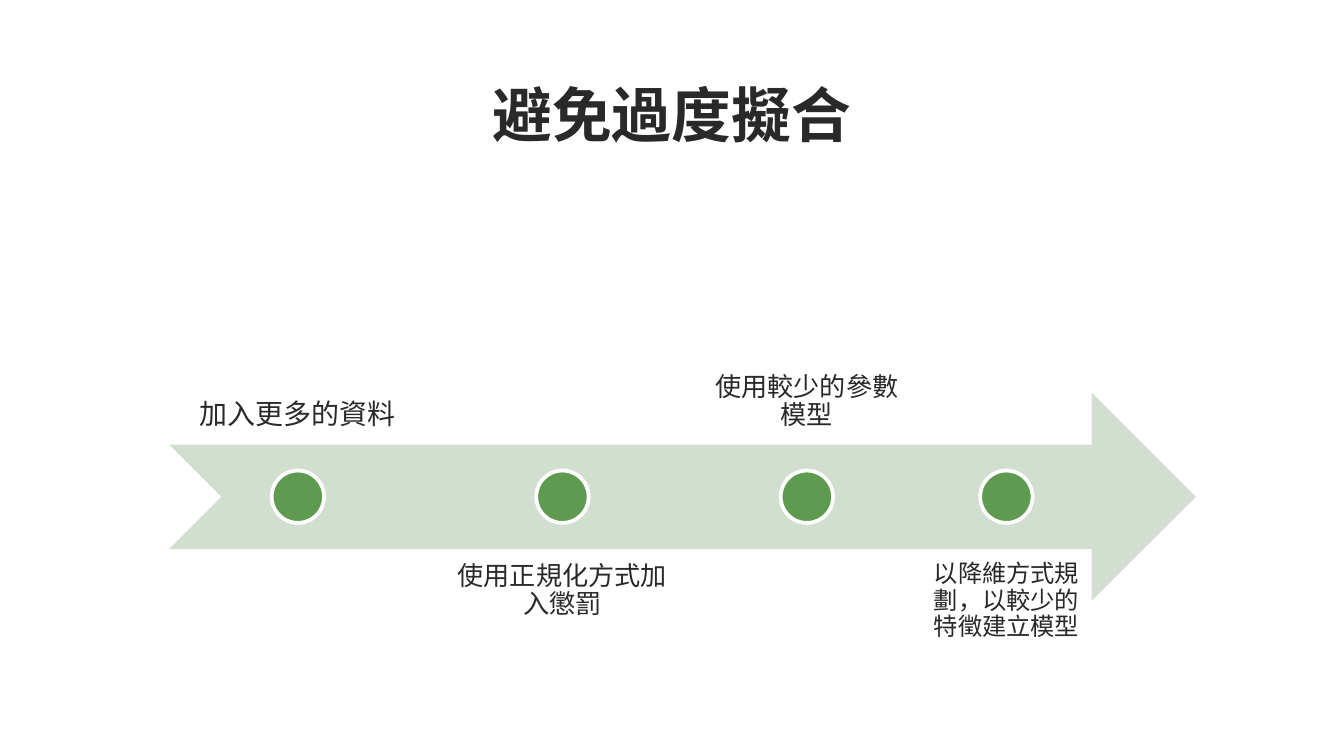
from dataclasses import dataclass

from pptx import Presentation
from pptx.dml.color import RGBColor
from pptx.enum.shapes import MSO_SHAPE as Shape
from pptx.enum.text import MSO_ANCHOR as Anchor, PP_ALIGN as Align
from pptx.slide import Slide
from pptx.util import Cm, Pt


@dataclass(frozen=True)
class Theme:
    font: str = "Arial"
    ink: RGBColor = RGBColor.from_string("292929")
    paper: RGBColor = RGBColor.from_string("FFFFFF")
    band: RGBColor = RGBColor.from_string("D2DED0")
    dot: RGBColor = RGBColor.from_string("5E9A50")
    title_size: int = 32
    dot_line: int = 2


@dataclass(frozen=True)
class Box:
    left: float
    top: float
    width: float
    height: float

    def lengths(self) -> tuple[Cm, Cm, Cm, Cm]:
        return Cm(self.left), Cm(self.top), Cm(self.width), Cm(self.height)


@dataclass(frozen=True)
class Step:
    label: str
    center: float
    width: float
    size: int
    above: bool


THEME = Theme()
ARROW = Box(3.2, 7.42, 19.4, 3.94)
AXIS = ARROW.top + ARROW.height / 2
LABEL_GAP = 0.97
DOT_SIZE = 0.99
INSET_PER_POINT = 0.02

STEPS = (
    Step("加入更多的資料", 5.63, 4.8, 15, True),
    Step("使用正規化方式加入懲罰", 10.63, 5, 14, False),
    Step("使用較少的參數模型", 15.25, 4.04, 14, True),
    Step("以降維方式規劃，以較少的特徵建立模型", 19.02, 3.3, 13, False),
)


def add_text(slide: Slide, box: Box, text: str, size: int, anchor: Anchor,
             inset_x: float, inset_y: float, spacing: float = 1,
             bold: bool = False) -> None:
    frame = slide.shapes.add_textbox(*box.lengths()).text_frame
    frame.word_wrap = True
    frame.vertical_anchor = anchor
    frame.margin_left = frame.margin_right = Cm(inset_x)
    frame.margin_top = frame.margin_bottom = Cm(inset_y)
    paragraph = frame.paragraphs[0]
    paragraph.text = text
    paragraph.alignment = Align.CENTER
    paragraph.line_spacing = spacing
    font = paragraph.font
    font.name, font.size, font.bold = THEME.font, Pt(size), bold
    font.color.rgb = THEME.ink


def add_arrow(slide: Slide) -> None:
    arrow = slide.shapes.add_shape(Shape.NOTCHED_RIGHT_ARROW, *ARROW.lengths())
    arrow.shadow.inherit = False
    arrow.fill.solid()
    arrow.fill.fore_color.rgb = THEME.band
    arrow.line.fill.background()


def add_step(slide: Slide, step: Step) -> None:
    top = AXIS - LABEL_GAP - ARROW.height if step.above else AXIS + LABEL_GAP
    label_box = Box(step.center - step.width / 2, top, step.width, ARROW.height)
    inset = step.size * INSET_PER_POINT
    add_text(slide, label_box, step.label, step.size,
             Anchor.BOTTOM if step.above else Anchor.TOP, inset, inset, 0.9)

    dot_box = Box(step.center - DOT_SIZE / 2, AXIS - DOT_SIZE / 2, DOT_SIZE, DOT_SIZE)
    dot = slide.shapes.add_shape(Shape.OVAL, *dot_box.lengths())
    dot.shadow.inherit = False
    dot.fill.solid()
    dot.fill.fore_color.rgb = THEME.dot
    dot.line.color.rgb = THEME.paper
    dot.line.width = Pt(THEME.dot_line)


def main() -> None:
    deck = Presentation()
    deck.slide_width, deck.slide_height = Cm(25.4), Cm(14.29)
    slide = deck.slides.add_slide(deck.slide_layouts[6])
    slide.background.fill.solid()
    slide.background.fill.fore_color.rgb = THEME.paper

    add_text(slide, Box(1.27, 1.17, 22.86, 1.96), "避免過度擬合",
             THEME.title_size, Anchor.MIDDLE, 0.25, 0.1, bold=True)
    add_arrow(slide)
    for step in STEPS:
        add_step(slide, step)
    deck.save("out.pptx")


if __name__ == "__main__":
    main()
